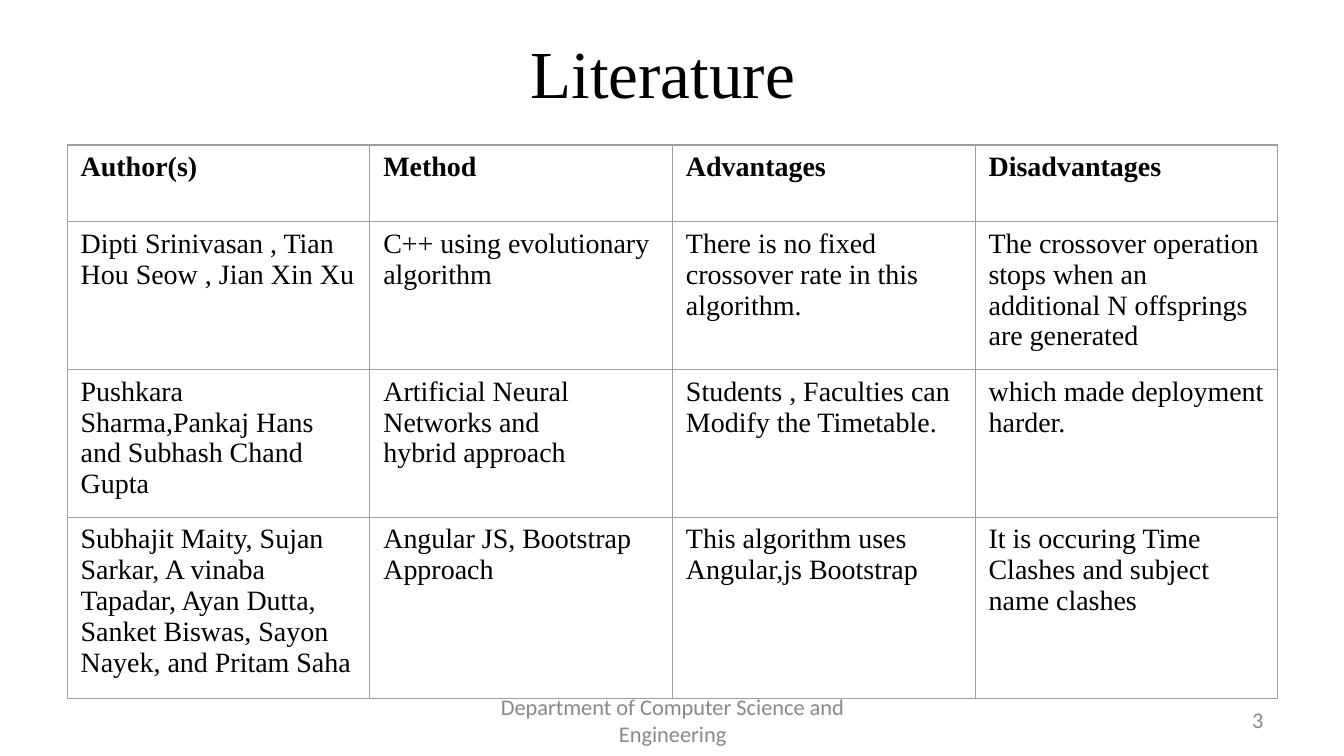
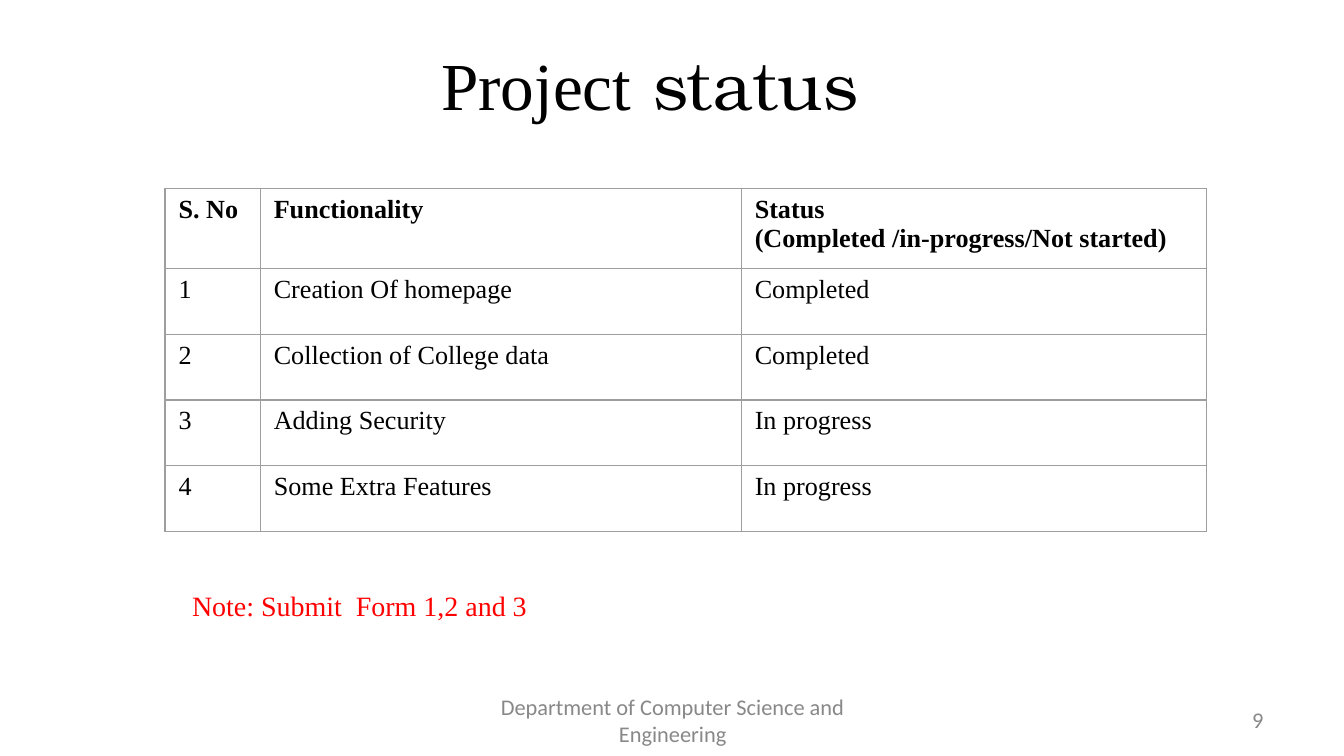
from lxml.etree import SubElement
from pptx import Presentation
from pptx.dml.color import RGBColor
from pptx.enum.text import MSO_ANCHOR, PP_ALIGN
from pptx.oxml.ns import qn
from pptx.util import Cm, Pt

INK, GREY, RULE, RED = "000000", "888888", "9E9E9E", "FF0000"
SERIF, SANS, BONUM = "Times New Roman", "Calibri", "TeX Gyre Bonum"
DEPT = "Department of Computer Science and Engineering"

PAPERS = [
    ["Author(s)", "Method", "Advantages", "Disadvantages"],
    ["Dipti Srinivasan , Tian Hou Seow , Jian Xin Xu",
     "C++ using evolutionary algorithm",
     "There is no fixed crossover rate in this\nalgorithm.",
     "The crossover operation stops when an additional N offsprings are generated"],
    ["Pushkara Sharma,Pankaj Hans and Subhash Chand Gupta",
     "Artificial Neural Networks and\nhybrid approach",
     "Students , Faculties can Modify the Timetable.",
     "which made deployment\nharder."],
    ["Subhajit Maity, Sujan Sarkar, A vinaba Tapadar, Ayan Dutta, "
     "Sanket Biswas, Sayon Nayek, and Pritam Saha",
     "Angular JS, Bootstrap Approach",
     "This algorithm uses Angular,js Bootstrap",
     "It is occuring Time Clashes and subject name clashes"],
]
TASKS = [
    ["S. No", "Functionality", "Status\n(Completed /in-progress/Not started)"],
    ["1", "Creation Of homepage", "Completed"],
    ["2", "Collection of College data", "Completed"],
    ["3", "Adding Security", "In progress"],
    ["4", "Some Extra Features", "In progress"],
]


def shade(code):
    """Turn a hex string into a colour."""
    return RGBColor.from_string(code)


def style(para, size, color, name=None, bold=False):
    """Set the font of a whole paragraph."""
    font = para.font
    font.size, font.bold = Pt(size), bold
    font.color.rgb = shade(color)
    if name:
        font.name = name


def label(slide, box, text, size, color, name=SERIF,
          align=PP_ALIGN.LEFT, anchor=MSO_ANCHOR.MIDDLE):
    """Write one line of text in a box."""
    frame = slide.shapes.add_textbox(*map(Cm, box)).text_frame
    frame.word_wrap, frame.vertical_anchor = True, anchor
    para = frame.paragraphs[0]
    para.text, para.alignment = text, align
    style(para, size, color, name)


def title(slide, left, top, parts):
    """Write a centred title from pairs of text and font."""
    box = slide.shapes.add_textbox(Cm(left), Cm(top), Cm(17), Cm(1.75))
    frame = box.text_frame
    frame.word_wrap, frame.vertical_anchor = True, MSO_ANCHOR.MIDDLE
    para = frame.paragraphs[0]
    para.alignment = PP_ALIGN.CENTER
    style(para, 36, INK)
    for text, name in parts:
        run = para.add_run()
        run.text, run.font.name = text, name


def footer(slide, number):
    """Add the department line and the slide number."""
    top, high = 13.23, 0.76
    label(slide, (8.69, top, 8.05, high), DEPT, 12, GREY, SANS, PP_ALIGN.CENTER)
    label(slide, (18.21, top, 5.92, high), number, 12, GREY, SANS, PP_ALIGN.RIGHT)


def border(cell):
    """Draw thin rules on all four sides of a cell."""
    props = cell._tc.get_or_add_tcPr()
    for side in ("lnL", "lnR", "lnT", "lnB"):
        line = SubElement(props, qn(f"a:{side}"), w=str(Pt(0.75)))
        fill = SubElement(line, qn("a:solidFill"))
        SubElement(fill, qn("a:srgbClr"), val=RULE)


def grid(slide, left, top, cols, highs, data, size):
    """Build a ruled table with a bold first row."""
    table = slide.shapes.add_table(
        len(data), len(cols), Cm(left), Cm(top), Cm(sum(cols)), Cm(sum(highs))).table
    table.first_row = table.horz_banding = False
    for col, wide in zip(table.columns, cols):
        col.width = Cm(wide)
    for i, (row, high, texts) in enumerate(zip(table.rows, highs, data)):
        row.height = Cm(high)
        for cell, text in zip(row.cells, texts):
            border(cell)
            cell.fill.background()
            cell.text_frame.text = text
            for para in cell.text_frame.paragraphs:
                style(para, size, INK, SERIF, i == 0)


def review(slide):
    """Fill the literature slide."""
    title(slide, 4.19, 0.48, [("Literature ", SERIF)])
    grid(slide, 1.27, 2.74, [5.72] * 4, [1.45] * 4, PAPERS, 15)
    footer(slide, "3")


def status(slide):
    """Fill the project status slide."""
    title(slide, 3.78, 0.71, [("Project", SERIF), (" status", BONUM)])
    grid(slide, 3.12, 3.56, [1.8, 9.09, 8.79], [1.52] + [1.24] * 4, TASKS, 14)
    label(slide, (3.38, 11, 8.38, 0.89), "Note: Submit  Form 1,2 and 3",
          15, RED, anchor=MSO_ANCHOR.TOP)
    footer(slide, "9")


def main():
    """Build and save the deck."""
    deck = Presentation()
    deck.slide_width, deck.slide_height = Cm(25.4), Cm(14.29)
    for fill in (review, status):
        fill(deck.slides.add_slide(deck.slide_layouts[6]))
    deck.save("out.pptx")


if __name__ == "__main__":
    main()
